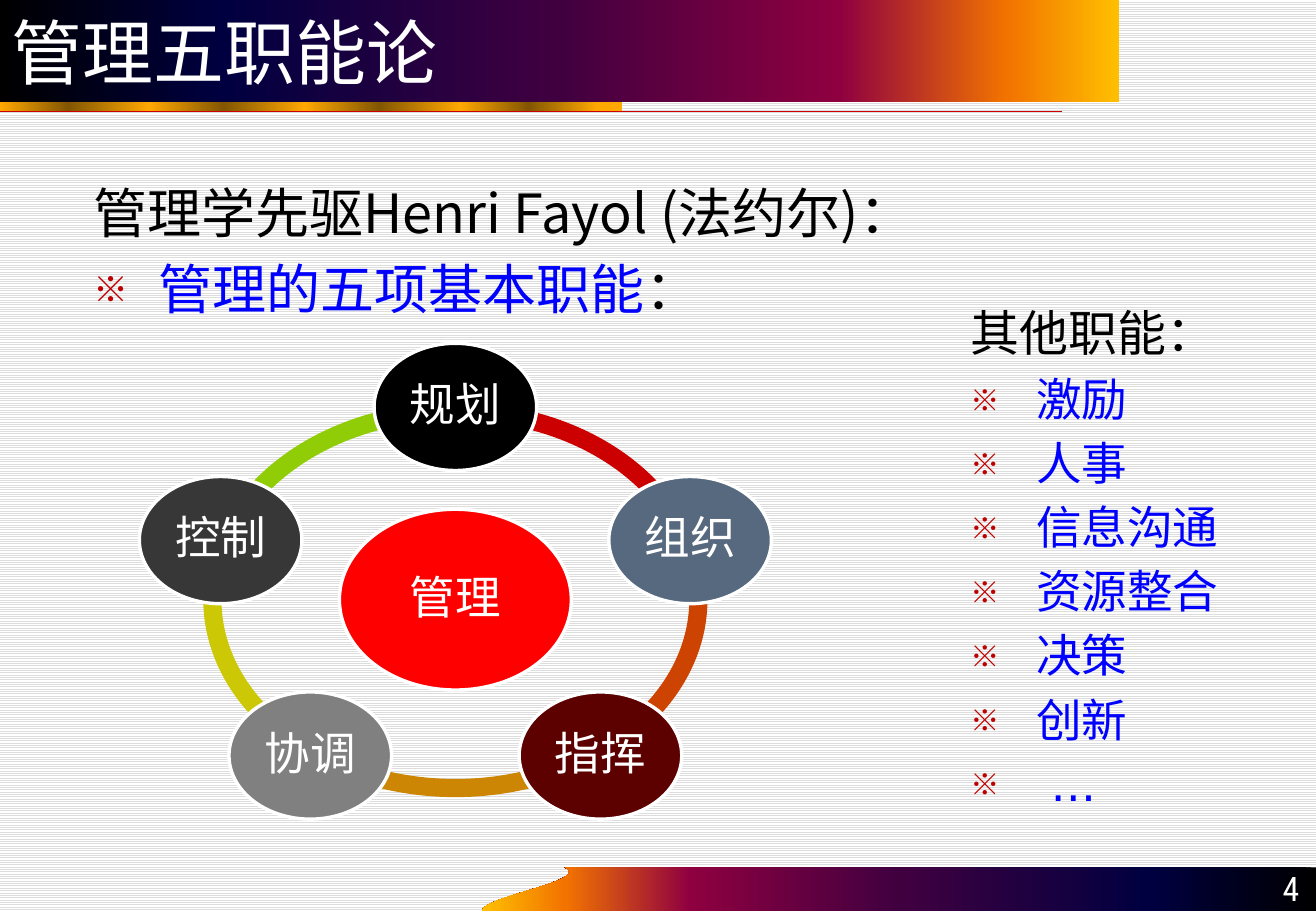
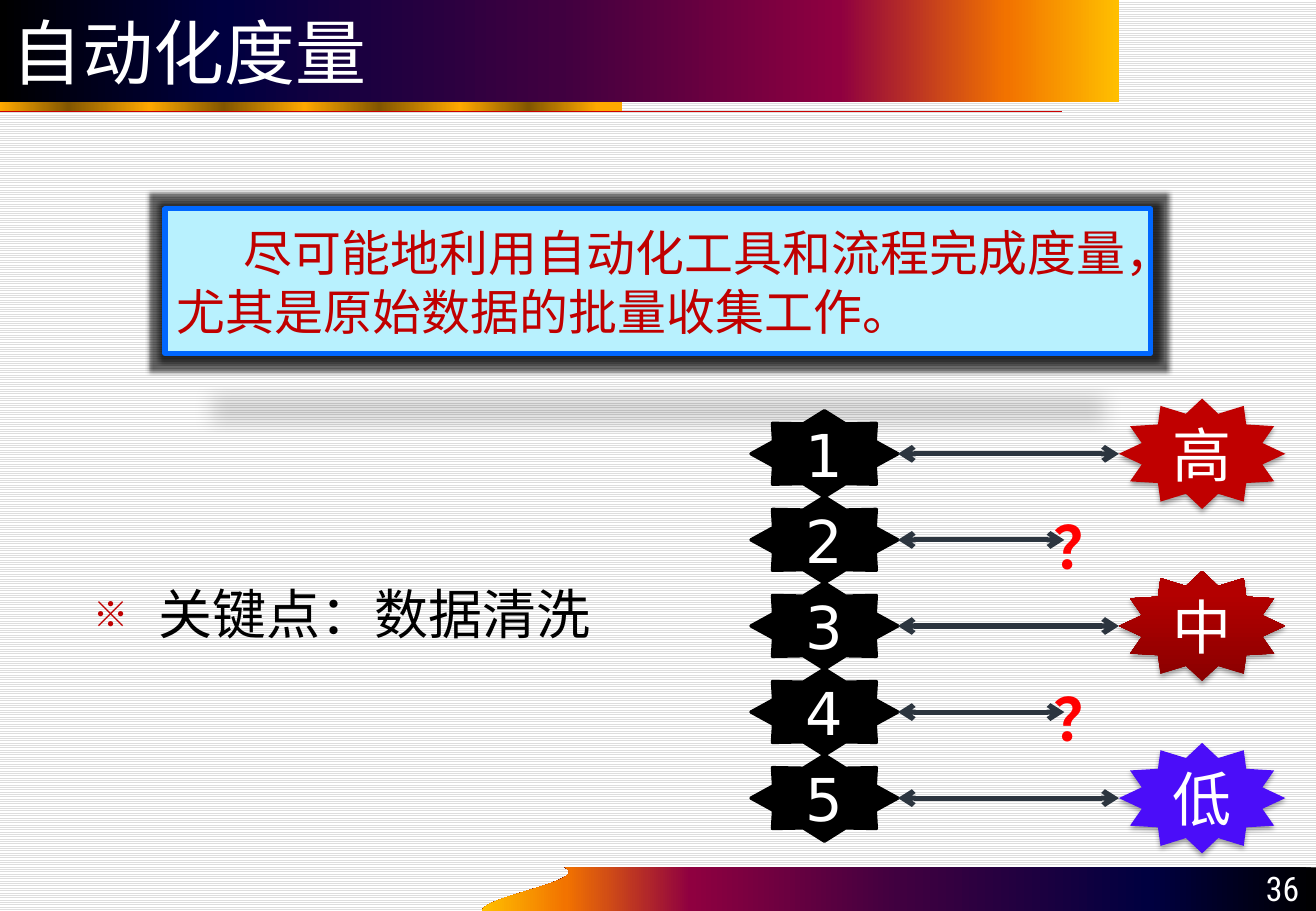
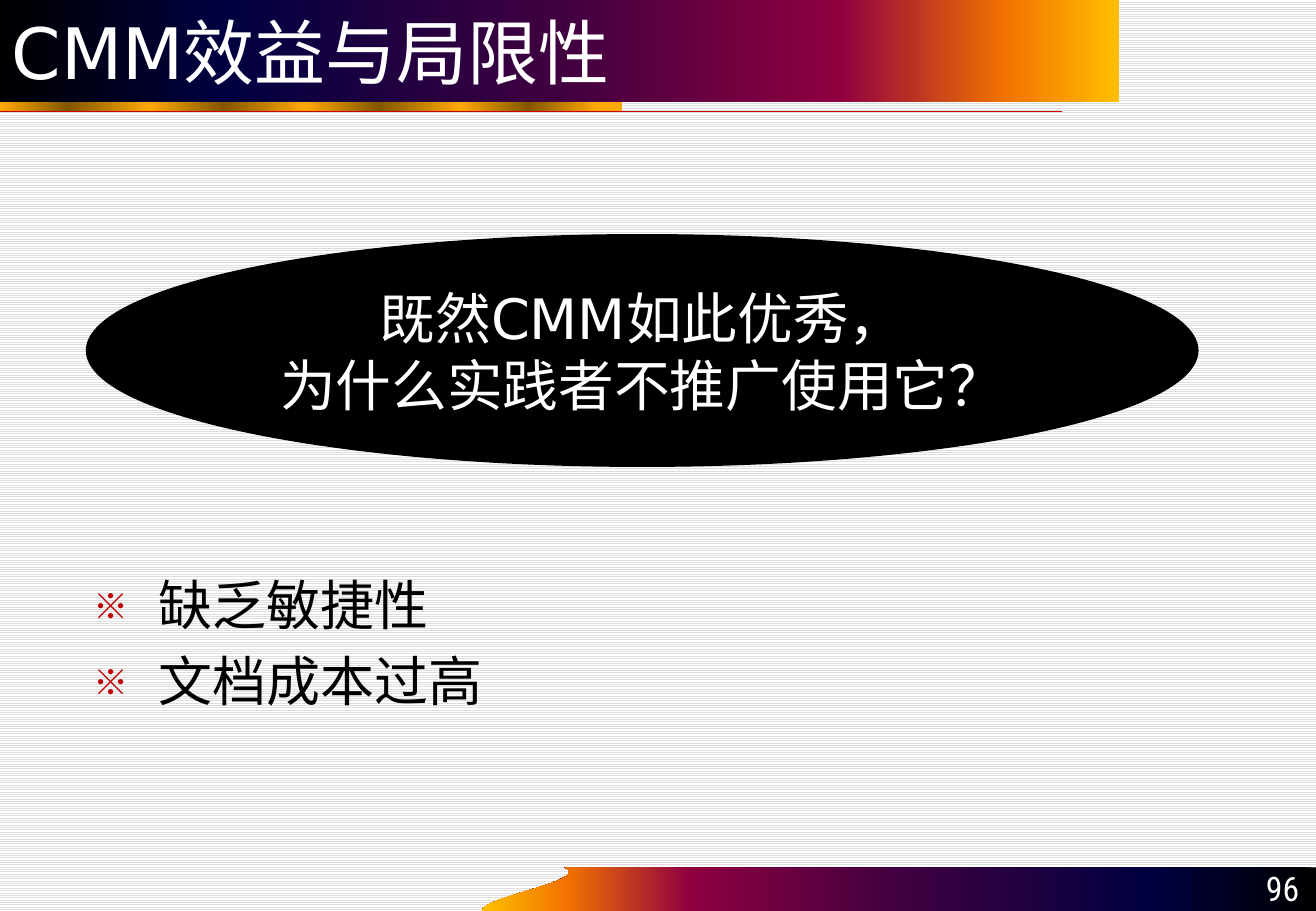
"""Build three slides on management functions, automated measurement and CMM limits."""
from dataclasses import dataclass
from math import cos, radians, sin

from lxml import etree
from pptx import Presentation
from pptx.dml.color import RGBColor
from pptx.enum.dml import MSO_PATTERN
from pptx.enum.shapes import MSO_CONNECTOR, MSO_SHAPE
from pptx.enum.text import MSO_ANCHOR, PP_ALIGN
from pptx.oxml.ns import qn
from pptx.util import Cm, Pt

RECTANGLE, OVAL, ARC = MSO_SHAPE.RECTANGLE, MSO_SHAPE.OVAL, MSO_SHAPE.BLOCK_ARC
STAR_8, STAR_12 = MSO_SHAPE.STAR_8_POINT, MSO_SHAPE.STAR_12_POINT
STRAIGHT = MSO_CONNECTOR.STRAIGHT
TOP, MIDDLE, BOTTOM = MSO_ANCHOR.TOP, MSO_ANCHOR.MIDDLE, MSO_ANCHOR.BOTTOM
LEFT, CENTER, RIGHT = PP_ALIGN.LEFT, PP_ALIGN.CENTER, PP_ALIGN.RIGHT


@dataclass(frozen=True)
class Theme:
    """Colours, fonts, type sizes and line factors shared by all slides."""
    width: float = 27.51
    height: float = 19.05
    black: str = "000000"
    white: str = "FFFFFF"
    stripe: str = "DDDDDD"
    rule: str = "CC0000"
    accent: str = "C00000"
    blue: str = "0000FF"
    red: str = "FF0000"
    arrow: str = "2C353F"
    callout_fill: str = "B8F1FE"
    callout_line: str = "0067FE"
    sunset: tuple = ((0, "000000"), (20, "000040"), (50, "400040"),
                     (75, "8F0040"), (90, "F27300"), (100, "FFBF00"))
    gold: tuple = ("FFA800", "825600")
    gold_stops: tuple = (0, 11, 24, 36, 49, 61, 74, 85, 96)
    sans: str = "DejaVu Sans"
    cjk: str = "Noto Sans CJK SC"
    number: str = "Roboto Condensed"
    mark: str = "Calibri"
    title_size: int = 42
    star_size: int = 35
    question_size: int = 33
    body_size: int = 32
    callout_size: int = 29
    list_size: int = 27
    number_size: int = 20
    leading: float = 1.28
    gap: float = 0.125
    indent: float = 1.37


THEME = Theme()

FUNCTIONS_TITLE = "管理五职能论"
PIONEER = "管理学先驱Henri Fayol (法约尔)："
FIVE_FUNCTIONS = (("管理的五项基本职能", THEME.blue), ("：", THEME.black))
CYCLE_CENTER = "管理"
CYCLE = [
    ("规划", "000000", "CC0000"),
    ("组织", "57697E", "CC4302"),
    ("指挥", "5C0000", "CC8603"),
    ("协调", "808080", "CDC805"),
    ("控制", "373737", "91CD06"),
]
OTHER_HEADING = "其他职能："
OTHER_FUNCTIONS = ["激励", "人事", "信息沟通", "资源整合", "决策", "创新", " …"]

MEASURE_TITLE = "自动化度量"
MEASURE_CALLOUT = "尽可能地利用自动化工具和流程完成度量，尤其是原始数据的批量收集工作。"
MEASURE_POINTS = ["关键点：数据清洗"]
UNKNOWN = "？"
LEVELS = [
    ("1", "高", ((0, "C00000"),)),
    ("2", UNKNOWN, ()),
    ("3", "中", ((0, "8A0000"), (80, "B30000"), (100, "B40000"))),
    ("4", UNKNOWN, ()),
    ("5", "低", ((0, "4B0DF9"),)),
]

CMM_TITLE = "CMM效益与局限性"
CMM_QUESTION = ["既然CMM如此优秀，", "为什么实践者不推广使用它？"]
CMM_LIMITS = ["缺乏敏捷性", "文档成本过高"]


def rgb(color):
    return RGBColor.from_string(color)


def add_xml(parent, tag, **attributes):
    return etree.SubElement(parent, qn(tag), {k: str(v) for k, v in attributes.items()})


def add_color(parent, color, alpha=100):
    element = add_xml(parent, "a:srgbClr", val=color)
    if alpha < 100:
        add_xml(element, "a:alpha", val=alpha * 1000)


def paint(shape, fill, line=None, width=0, angle=0):
    """Fill with one colour or with (percent, colour) stops, and set the outline."""
    if isinstance(fill, str):
        shape.fill.solid()
        shape.fill.fore_color.rgb = rgb(fill)
    else:
        shape.fill.gradient()
        gradient = shape._element.spPr.find(qn("a:gradFill"))
        for child in list(gradient):
            gradient.remove(child)
        stops = add_xml(gradient, "a:gsLst")
        for percent, color in fill:
            add_color(add_xml(stops, "a:gs", pos=percent * 1000), color)
        add_xml(gradient, "a:lin", ang=angle * 60000, scaled=0)
    if line:
        shape.line.color.rgb = rgb(line)
        shape.line.width = Pt(width)
    else:
        shape.line.fill.background()
    shape.shadow.inherit = False


def add_shadow(shape, alpha, blur, distance, **scale):
    effects = shape._element.spPr.find(qn("a:effectLst"))
    shadow = add_xml(effects, "a:outerShdw", blurRad=Pt(blur), dist=Pt(distance),
                     dir=5400000, **scale, rotWithShape=0)
    add_color(shadow, THEME.black, alpha)


def add_glow(shape, radius, alpha):
    effects = shape._element.spPr.find(qn("a:effectLst"))
    add_color(add_xml(effects, "a:glow", rad=Pt(radius)), THEME.black, alpha)


def add_preset(slide, kind, box, fill, line=None, width=0, angle=0):
    shape = slide.shapes.add_shape(kind, *map(Cm, box))
    paint(shape, fill, line, width, angle)
    return shape


def add_line(slide, start, end, color, width, arrows=False):
    connector = slide.shapes.add_connector(STRAIGHT, *map(Cm, start + end))
    connector.line.color.rgb = rgb(color)
    connector.line.width = Pt(width)
    if arrows:
        outline = connector.line._get_or_add_ln()
        add_xml(outline, "a:headEnd", type="arrow")
        add_xml(outline, "a:tailEnd", type="arrow")
    add_xml(connector._element.spPr, "a:effectLst")


def add_run(paragraph, text, size, font, color, bold=False):
    run = paragraph.add_run()
    run.text = text
    run.font.size = Pt(size)
    run.font.bold = bold
    run.font.color.rgb = rgb(color)
    run.font.name = font
    add_xml(run._r.get_or_add_rPr(), "a:ea", typeface=font)


def prepare_frame(shape, anchor, insets=(0.25, 0.13), wrap=True):
    frame = shape.text_frame
    frame.word_wrap = wrap
    frame.vertical_anchor = anchor
    frame.margin_left = frame.margin_right = Cm(insets[0])
    frame.margin_top = frame.margin_bottom = Cm(insets[1])
    return frame


def next_paragraph(frame, index):
    return frame.add_paragraph() if index else frame.paragraphs[0]


def write(shape, lines, size, font, color=THEME.white, align=CENTER, anchor=MIDDLE,
          insets=(0.1, 0.05), wrap=True, bold=False):
    """Write plain lines, one paragraph each, and return the text frame."""
    frame = prepare_frame(shape, anchor, insets, wrap)
    for index, line in enumerate(lines):
        paragraph = next_paragraph(frame, index)
        paragraph.alignment = align
        add_run(paragraph, line, size, font, color, bold)
    return frame


def add_list(slide, box, items, font):
    """Add a hanging list of (runs, size, bulleted) items."""
    frame = prepare_frame(slide.shapes.add_textbox(*map(Cm, box)), TOP)
    for index, (runs, size, bulleted) in enumerate(items):
        paragraph = next_paragraph(frame, index)
        paragraph.line_spacing = Pt(round(size * THEME.leading, 1))
        paragraph.space_before = Pt(round(size * THEME.gap, 1) if index else 0)
        properties = paragraph._p.get_or_add_pPr()
        properties.set("marL", str(Cm(THEME.indent)))
        properties.set("indent", str(-Cm(THEME.indent)))
        if bulleted:
            add_color(add_xml(properties, "a:buClr"), THEME.accent)
            add_xml(properties, "a:buSzPct", val=65000)
            add_xml(properties, "a:buFont", typeface=THEME.cjk)
            add_xml(properties, "a:buChar", char="※")
        for text, color in runs:
            add_run(paragraph, text, size, font, color)


def body_items(texts):
    return [(((text, THEME.black),), THEME.body_size, True) for text in texts]


def curve(points, steps=24):
    """Return points along a cubic curve."""
    result = []
    for step in range(steps + 1):
        t = step / steps
        weights = ((1 - t) ** 3, 3 * t * (1 - t) ** 2, 3 * t * t * (1 - t), t ** 3)
        result.append(tuple(sum(w * p[axis] for w, p in zip(weights, points))
                            for axis in (0, 1)))
    return result


def add_footer(slide, number):
    top, right, bottom = 18.14, THEME.width, THEME.height
    edge = curve([(10.08, bottom), (10.08, 18.75), (12.37, 18.42), (11.81, top)])
    outline = [(Cm(x), Cm(y)) for x, y in [(right, top), (right, bottom)] + edge]
    builder = slide.shapes.build_freeform(*outline[0])
    builder.add_line_segments(outline[1:], close=True)
    paint(builder.convert_to_shape(), THEME.sunset, angle=180)
    box = slide.shapes.add_textbox(Cm(24.97), Cm(18.11), Cm(2.44), Cm(1.02))
    write(box, [str(number)], THEME.number_size, THEME.number, align=RIGHT,
          anchor=BOTTOM, insets=(0.25, 0.13))


def add_base_slide(presentation, title, number):
    """Add a slide with its title band, gold strip, rule and footer."""
    slide = presentation.slides.add_slide(presentation.slide_layouts[6])
    strip = [(stop, THEME.gold[i % 2]) for i, stop in enumerate(THEME.gold_stops)]
    add_preset(slide, RECTANGLE, (0, 1.93, 13, 0.41), strip)
    add_line(slide, (0, 2.33), (22.2, 2.33), THEME.rule, 0.75)
    band = add_preset(slide, RECTANGLE, (0, 0, 23.39, 2.13), THEME.sunset)
    write(band, [title], THEME.title_size, THEME.sans, align=LEFT, insets=(0.25, 0.13))
    add_footer(slide, number)
    return slide


def add_cycle_node(slide, text, center, size, fill):
    box = (center[0] - size[0] / 2, center[1] - size[1] / 2, *size)
    node = add_preset(slide, OVAL, box, fill, THEME.white, 2)
    frame = write(node, [text], THEME.list_size, THEME.cjk, insets=(0, 0))
    frame.paragraphs[0].line_spacing = 0.9


def add_cycle(slide):
    """Draw the ring of coloured arcs with its nodes and centre."""
    center_x, center_y = 9.52, 12.54
    ring_width, ring_height = 10.54, 8.26
    radius_x, radius_y = 5.16, 4.03
    step = 360 / len(CYCLE)
    angles = [(270 + step * index) % 360 for index in range(len(CYCLE))]
    ring = (center_x - ring_width / 2, center_y - ring_height / 2,
            ring_width, ring_height)
    for angle, (_, _, color) in zip(angles, CYCLE):
        arc = add_preset(slide, ARC, ring, color)
        arc.adjustments[0] = angle * 0.6
        arc.adjustments[1] = (angle + step) % 360 * 0.6
        arc.adjustments[2] = 0.046
    add_cycle_node(slide, CYCLE_CENTER, (center_x, center_y), (4.85, 3.78), THEME.red)
    for angle, (text, fill, _) in zip(angles, CYCLE):
        center = (center_x + radius_x * cos(radians(angle)),
                  center_y + radius_y * sin(radians(angle)))
        add_cycle_node(slide, text, center, (3.4, 2.66), fill)


def build_functions(presentation):
    slide = add_base_slide(presentation, FUNCTIONS_TITLE, 4)
    intro = [(((PIONEER, THEME.black),), THEME.body_size, False),
             (FIVE_FUNCTIONS, THEME.body_size, True)]
    add_list(slide, (1.7, 3.53, 24.08, 3.4), intro, THEME.cjk)
    add_cycle(slide)
    others = [(((OTHER_HEADING, THEME.black),), THEME.callout_size, False)]
    others += [(((text, THEME.blue),), THEME.list_size, True) for text in OTHER_FUNCTIONS]
    add_list(slide, (20.04, 6.12, 6.71, 10.39), others, THEME.sans)


def add_levels(slide):
    """Draw numbered stars, each linked to a grade or to a question mark."""
    star_left, star_top, star_width, row = 15.7, 8.59, 3.07, 1.8
    grade_left, grade_width, grade_height = 23.39, 3.48, 2.31
    star_right = star_left + star_width
    for index, (number, grade, fill) in enumerate(LEVELS):
        top = star_top + row * index
        middle = top + row / 2
        star = add_preset(slide, STAR_8, (star_left, top, star_width, row),
                          THEME.black, THEME.black, 2)
        write(star, [number], THEME.star_size, THEME.sans)
        end = grade_left if fill else 22.25
        add_line(slide, (star_right, middle), (end, middle), THEME.arrow, 3, arrows=True)
        if fill:
            box = (grade_left, middle - grade_height / 2, grade_width, grade_height)
            badge = add_preset(slide, STAR_12, box,
                               fill if len(fill) > 1 else fill[0][1], angle=270)
            add_shadow(badge, 35, 3.1, 1.8)
            write(badge, [grade], THEME.star_size, THEME.cjk)
        else:
            box = slide.shapes.add_textbox(Cm(21.92), Cm(middle - 0.67), Cm(1.45), Cm(1.6))
            write(box, [grade], THEME.star_size, THEME.mark, THEME.red, LEFT, TOP,
                  wrap=False, bold=True)


def build_measurement(presentation):
    slide = add_base_slide(presentation, MEASURE_TITLE, 36)
    add_list(slide, (1.7, 11.91, 11.4, 5.41), body_items(MEASURE_POINTS), THEME.cjk)
    callout = add_preset(slide, RECTANGLE, (3.45, 4.37, 20.6, 3.02),
                         THEME.callout_fill, THEME.callout_line, 3)
    add_glow(callout, 6, 60)
    add_shadow(callout, 15, 12, 25, sx=90000, sy=-19000)
    frame = write(callout, [MEASURE_CALLOUT], THEME.callout_size, THEME.sans,
                  THEME.accent, LEFT, insets=(0.25, 0.13))
    frame.paragraphs[0]._p.get_or_add_pPr().set("indent", str(Cm(1.4)))
    add_levels(slide)


def build_limits(presentation):
    slide = add_base_slide(presentation, CMM_TITLE, 96)
    add_list(slide, (1.7, 11.73, 24.08, 5.59), body_items(CMM_LIMITS), THEME.cjk)
    bubble = add_preset(slide, OVAL, (1.83, 4.93, 23.19, 4.8),
                        THEME.black, THEME.black, 2)
    write(bubble, CMM_QUESTION, THEME.question_size, THEME.sans)


def main():
    presentation = Presentation()
    presentation.slide_width = Cm(THEME.width)
    presentation.slide_height = Cm(THEME.height)
    background = presentation.slide_master.background.fill
    background.patterned()
    background.pattern = MSO_PATTERN.LIGHT_HORIZONTAL
    background.fore_color.rgb = rgb(THEME.stripe)
    background.back_color.rgb = rgb(THEME.white)
    build_functions(presentation)
    build_measurement(presentation)
    build_limits(presentation)
    presentation.save("out.pptx")


if __name__ == "__main__":
    main()
